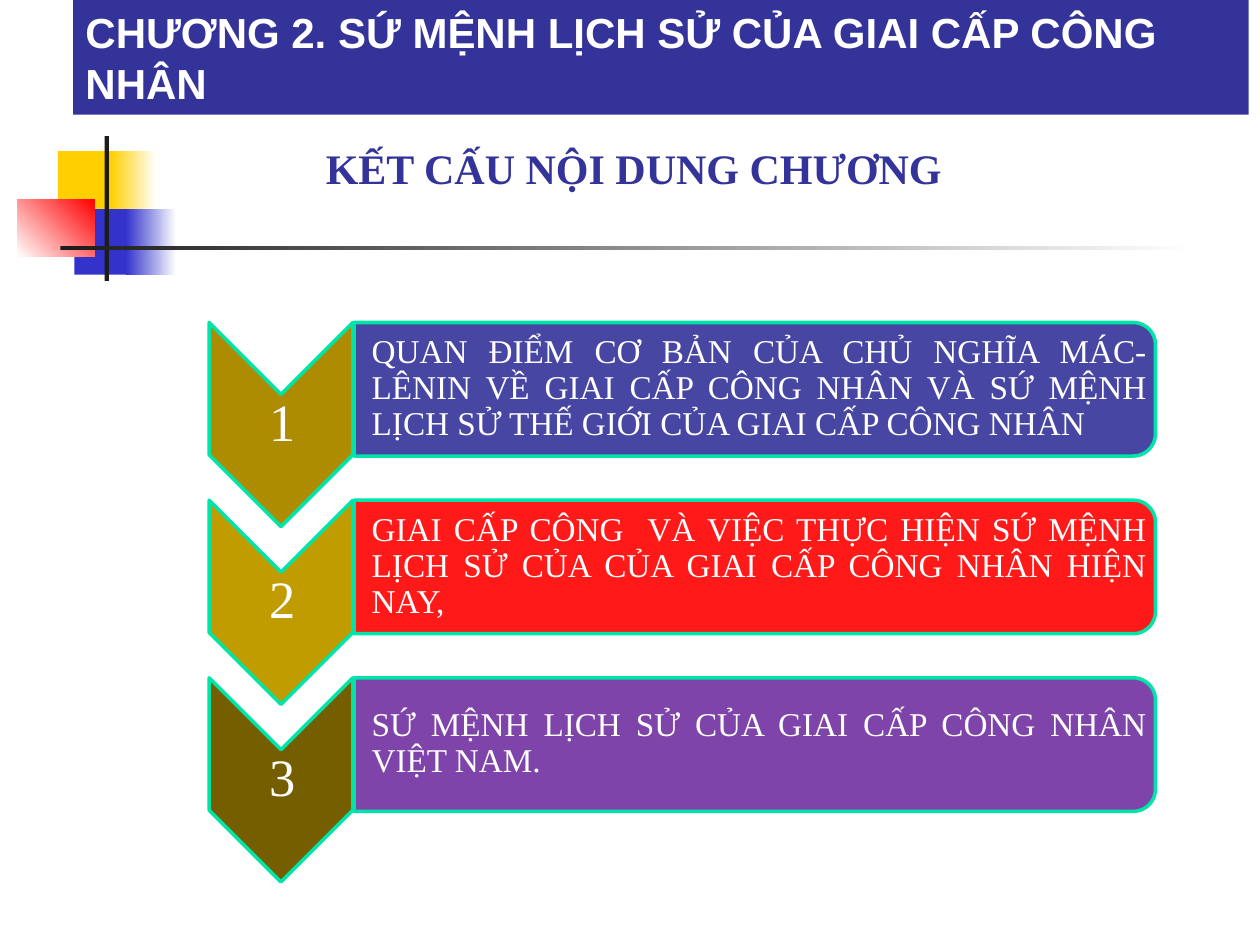
from dataclasses import dataclass
from typing import Optional

from lxml.etree import SubElement
from pptx import Presentation
from pptx.dml.color import RGBColor
from pptx.enum.shapes import MSO_SHAPE
from pptx.enum.text import MSO_ANCHOR, MSO_AUTO_SIZE, PP_ALIGN
from pptx.oxml.ns import qn
from pptx.util import Emu, Inches, Pt

COLUMNS, ROWS = 100, 75
SLIDE_WIDTH, SLIDE_HEIGHT = Inches(10), Inches(7.5)


@dataclass(frozen=True)
class Theme:
    banner_font: str = "Arial"
    body_font: str = "Times New Roman"
    heading_size: int = 24
    number_size: int = 30
    chapter_size: int = 19
    outline_width: int = 2
    white: str = "FFFFFF"
    navy: str = "333399"
    yellow: str = "FFCF01"
    blue: str = "3333CC"
    red: str = "FF0000"
    black: str = "1C1C1C"
    purple: str = "7030A0"
    mint: str = "00E4A8"
    golds: tuple = ("AD8C01", "C09C00", "745E00")


THEME = Theme()


@dataclass(frozen=True)
class Area:
    column: float
    row: float
    columns: float
    rows: float

    def lengths(self) -> tuple:
        return (Emu(int(SLIDE_WIDTH * self.column / COLUMNS)),
                Emu(int(SLIDE_HEIGHT * self.row / ROWS)),
                Emu(int(SLIDE_WIDTH * self.columns / COLUMNS)),
                Emu(int(SLIDE_HEIGHT * self.rows / ROWS)))

    def turned(self) -> "Area":
        return Area(self.column + (self.columns - self.rows) / 2,
                    self.row + (self.rows - self.columns) / 2,
                    self.rows, self.columns)


@dataclass(frozen=True)
class Ornament:
    area: Area
    start: str
    end: Optional[str] = None
    angle: int = 0


@dataclass(frozen=True)
class Chapter:
    topic: str
    arrow_color: str
    panel_color: str


ORNAMENTS = (
    Ornament(Area(4.6, 12, 4.8, 5.2), THEME.yellow),
    Ornament(Area(8.8, 12, 3.6, 5.2), THEME.yellow, THEME.white),
    Ornament(Area(5.9, 16.6, 4.6, 5.2), THEME.blue),
    Ornament(Area(10, 16.6, 4, 5.2), THEME.blue, THEME.white),
    Ornament(Area(1.4, 15.8, 6.1, 4.6), THEME.white, THEME.red, 45),
    Ornament(Area(8.3, 10.8, 0.35, 11.5), THEME.black),
    Ornament(Area(4.8, 19.5, 90, 0.35), THEME.black, THEME.white),
)

CHAPTERS = (
    Chapter("QUAN ĐIỂM CƠ BẢN CỦA CHỦ NGHĨA MÁC-LÊNIN VỀ GIAI CẤP CÔNG NHÂN "
            "VÀ SỨ MỆNH LỊCH SỬ THẾ GIỚI CỦA GIAI CẤP CÔNG NHÂN",
            THEME.golds[0], THEME.navy),
    Chapter("GIAI CẤP CÔNG  VÀ VIỆC THỰC HIỆN SỨ MỆNH LỊCH SỬ CỦA CỦA "
            "GIAI CẤP CÔNG NHÂN HIỆN NAY,",
            THEME.golds[1], THEME.red),
    Chapter("SỨ MỆNH LỊCH SỬ CỦA GIAI CẤP CÔNG NHÂN VIỆT NAM.",
            THEME.golds[2], THEME.purple),
)
FIRST_CHAPTER_ROW = 25.6
CHAPTER_PITCH = 14.1


def place(shape, area: Area) -> None:
    shape.left, shape.top, shape.width, shape.height = area.lengths()


def add_filled(slide, preset: MSO_SHAPE, area: Area, color: str):
    shape = slide.shapes.add_shape(preset, *area.lengths())
    shape.shadow.inherit = False
    shape.fill.solid()
    shape.fill.fore_color.rgb = RGBColor.from_string(color)
    shape.line.fill.background()
    return shape


def add_ornament(slide, ornament: Ornament) -> None:
    block = add_filled(slide, MSO_SHAPE.RECTANGLE, ornament.area, ornament.start)
    if ornament.end:
        block.fill.gradient()
        block.fill.gradient_angle = ornament.angle
        for stop, color in zip(block.fill.gradient_stops,
                               (ornament.start, ornament.end)):
            stop.color.rgb = RGBColor.from_string(color)


def add_turned(slide, preset: MSO_SHAPE, area: Area, color: str):
    shape = add_filled(slide, preset, area.turned(), color)
    shape.rotation = 90
    shape.line.color.rgb = RGBColor.from_string(THEME.mint)
    shape.line.width = Pt(THEME.outline_width)
    return shape


def set_opacity(shape, percent: int) -> None:
    color = shape.fill._xPr.find(qn("a:solidFill"))[0]
    SubElement(color, qn("a:alpha"), val=str(percent * 1000))


def add_bullet(paragraph) -> None:
    properties = paragraph._p.get_or_add_pPr()
    properties.set("marL", str(Inches(0.19)))
    properties.set("indent", str(-Inches(0.19)))
    SubElement(properties, qn("a:buChar"), char="•")


def write(shape, text: str, font_name: str, size: int, color: str,
          align: PP_ALIGN, bold: bool = False, wrap: bool = True):
    frame = shape.text_frame
    frame.text = text
    frame.word_wrap = wrap
    frame.auto_size = MSO_AUTO_SIZE.NONE
    frame.vertical_anchor = MSO_ANCHOR.MIDDLE
    paragraph = frame.paragraphs[0]
    paragraph.alignment = align
    font = paragraph.font
    font.name, font.size, font.bold = font_name, Pt(size), bold
    font.color.rgb = RGBColor.from_string(color)
    return paragraph


def add_label(slide, area: Area, text: str, size: int, align: PP_ALIGN,
              left_inset: float, inset: float, bulleted: bool = False) -> None:
    label = slide.shapes.add_textbox(*area.lengths())
    frame = label.text_frame
    frame.margin_left = Inches(left_inset)
    frame.margin_right = frame.margin_top = frame.margin_bottom = Inches(inset)
    if bulleted:
        add_bullet(frame.paragraphs[0])
    paragraph = write(label, text, THEME.body_font, size, THEME.white, align)
    paragraph.line_spacing = 0.9


def add_chapter(slide, number: int, chapter: Chapter) -> None:
    row = FIRST_CHAPTER_ROW + (number - 1) * CHAPTER_PITCH
    add_turned(slide, MSO_SHAPE.CHEVRON, Area(16.6, row, 11.4, 16.2),
               chapter.arrow_color)
    add_label(slide, Area(16.7, row + 5.6, 11.4, 4.9), str(number),
              THEME.number_size, PP_ALIGN.CENTER, 0.02, 0.02)
    panel = add_turned(slide, MSO_SHAPE.ROUND_2_SAME_RECTANGLE,
                       Area(28.1, row, 63.6, 10.6), chapter.panel_color)
    set_opacity(panel, 90)
    add_label(slide, Area(28, row + 0.5, 63.1, 9.5), chapter.topic,
              THEME.chapter_size, PP_ALIGN.JUSTIFY, 0.15, 0.01, bulleted=True)


def main() -> None:
    presentation = Presentation()
    presentation.slide_width, presentation.slide_height = SLIDE_WIDTH, SLIDE_HEIGHT
    slide = presentation.slides.add_slide(presentation.slide_layouts[5])

    for ornament in ORNAMENTS:
        add_ornament(slide, ornament)

    banner = add_filled(slide, MSO_SHAPE.RECTANGLE, Area(5.8, 0, 93.3, 9.1), THEME.navy)
    write(banner, "CHƯƠNG 2. SỨ MỆNH LỊCH SỬ CỦA GIAI CẤP CÔNG NHÂN",
          THEME.banner_font, THEME.heading_size, THEME.white, PP_ALIGN.LEFT, bold=True)

    heading = slide.shapes.title
    place(heading, Area(24.6, 10.8, 51.4, 5))
    write(heading, "KẾT CẤU NỘI DUNG CHƯƠNG", THEME.body_font,
          THEME.heading_size, THEME.navy, PP_ALIGN.CENTER, bold=True, wrap=False)

    for number, chapter in enumerate(CHAPTERS, start=1):
        add_chapter(slide, number, chapter)

    presentation.save("out.pptx")


if __name__ == "__main__":
    main()
